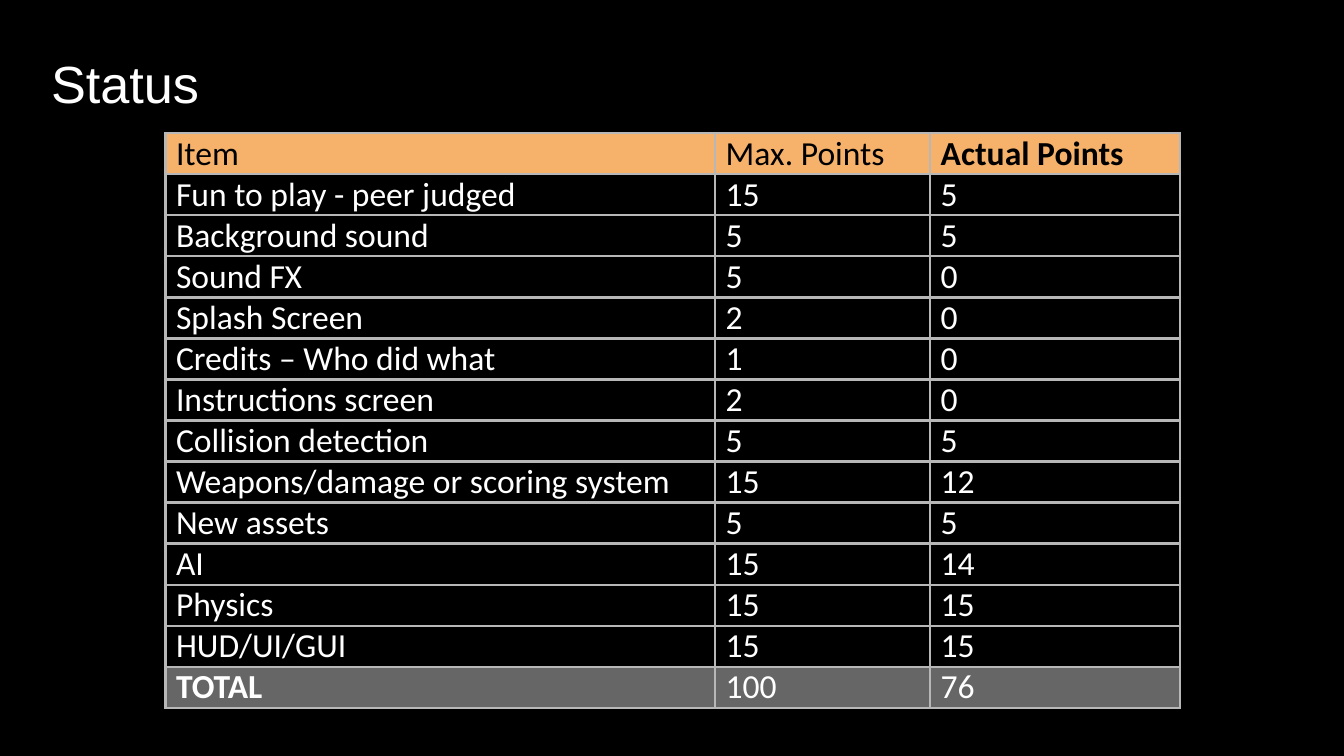
from pptx import Presentation
from pptx.dml.color import RGBColor
from pptx.enum.text import MSO_ANCHOR as Anchor, PP_ALIGN as Align
from pptx.oxml import parse_xml
from pptx.oxml.ns import nsdecls
from pptx.util import Inches, Pt

BLACK, WHITE, GREY = "000000", "FFFFFF", "B7B7B7"
ORANGE, DARK_GREY = "F6B26B", "666666"


def rgb(value):
    return RGBColor.from_string(value)


def write(frame, text, size=18, font="Calibri", color=WHITE, bold=False):
    para = frame.paragraphs[0]
    para.alignment = Align.LEFT
    span = para.add_run()
    span.text = text
    span.font.size = Pt(size)
    span.font.name = font
    span.font.bold = bold
    span.font.color.rgb = rgb(color)


deck = Presentation()
deck.slide_width = Inches(10)
deck.slide_height = Inches(10 * 9 / 16)
page = deck.slides.add_slide(deck.slide_layouts[5])
page.background.fill.solid()
page.background.fill.fore_color.rgb = rgb(BLACK)

title = page.shapes.title
title.left, title.top = Inches(0.28), Inches(0.28)
title.width, title.height = Inches(1.62), Inches(0.63)
frame = title.text_frame
frame.margin_left = frame.margin_right = Inches(0.1)
frame.margin_top = frame.margin_bottom = Inches(0.1)
frame.vertical_anchor = Anchor.TOP
write(frame, "Status", size=28, font="Arial")

rows = [
    ("Item", "Max. Points", "Actual Points"),
    ("Fun to play - peer judged", "15", "5"),
    ("Background sound", "5", "5"),
    ("Sound FX", "5", "0"),
    ("Splash Screen", "2", "0"),
    ("Credits – Who did what", "1", "0"),
    ("Instructions screen", "2", "0"),
    ("Collision detection", "5", "5"),
    ("Weapons/damage or scoring system", "15", "12"),
    ("New assets", "5", "5"),
    ("AI", "15", "14"),
    ("Physics", "15", "15"),
    ("HUD/UI/GUI", "15", "15"),
    ("TOTAL", "100", "76"),
]
widths = [4.09, 1.6, 1.86]
row_height = 0.3
row_fills = {0: ORANGE, len(rows) - 1: DARK_GREY}
bold_texts = {"Actual Points", "TOTAL"}

table = page.shapes.add_table(
    len(rows), len(widths), Inches(1.23), Inches(0.99),
    Inches(sum(widths)), Inches(row_height * len(rows)),
).table
table.first_row = table.horz_banding = False
for column, width in zip(table.columns, widths):
    column.width = Inches(width)

for r, texts in enumerate(rows):
    table.rows[r].height = Inches(row_height)
    for c, text in enumerate(texts):
        cell = table.cell(r, c)
        cell.margin_left = cell.margin_right = Inches(0.08)
        cell.margin_top = cell.margin_bottom = 0
        write(cell.text_frame, text, color=WHITE if r else BLACK,
              bold=text in bold_texts)
        properties = cell._tc.get_or_add_tcPr()
        for side in ("lnL", "lnR", "lnT", "lnB"):
            properties.append(parse_xml(
                f'<a:{side} {nsdecls("a")} w="{Pt(1.5)}"><a:solidFill>'
                f'<a:srgbClr val="{GREY}"/></a:solidFill></a:{side}>'))
        if r in row_fills:
            cell.fill.solid()
            cell.fill.fore_color.rgb = rgb(row_fills[r])
        else:
            cell.fill.background()

deck.save("out.pptx")
